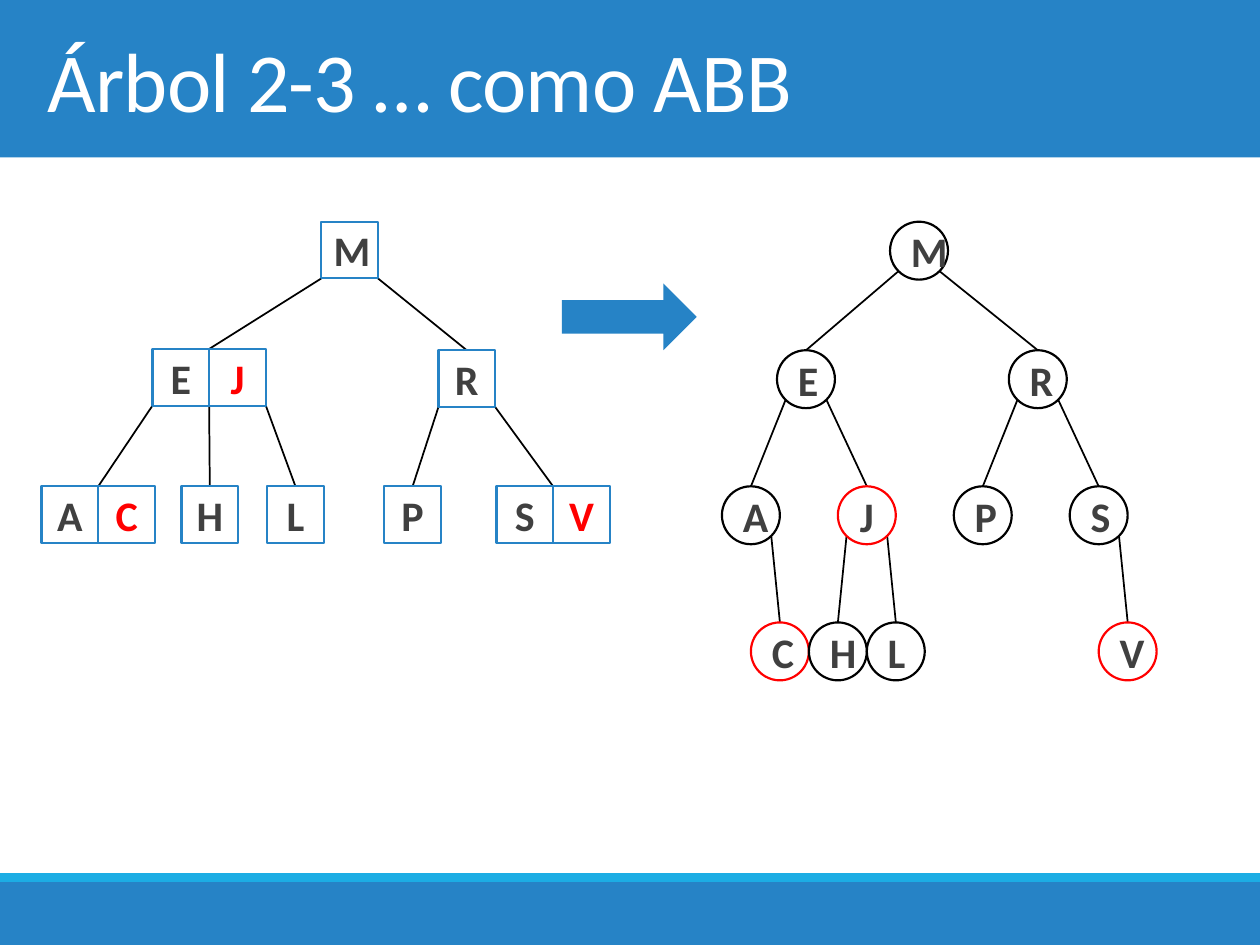
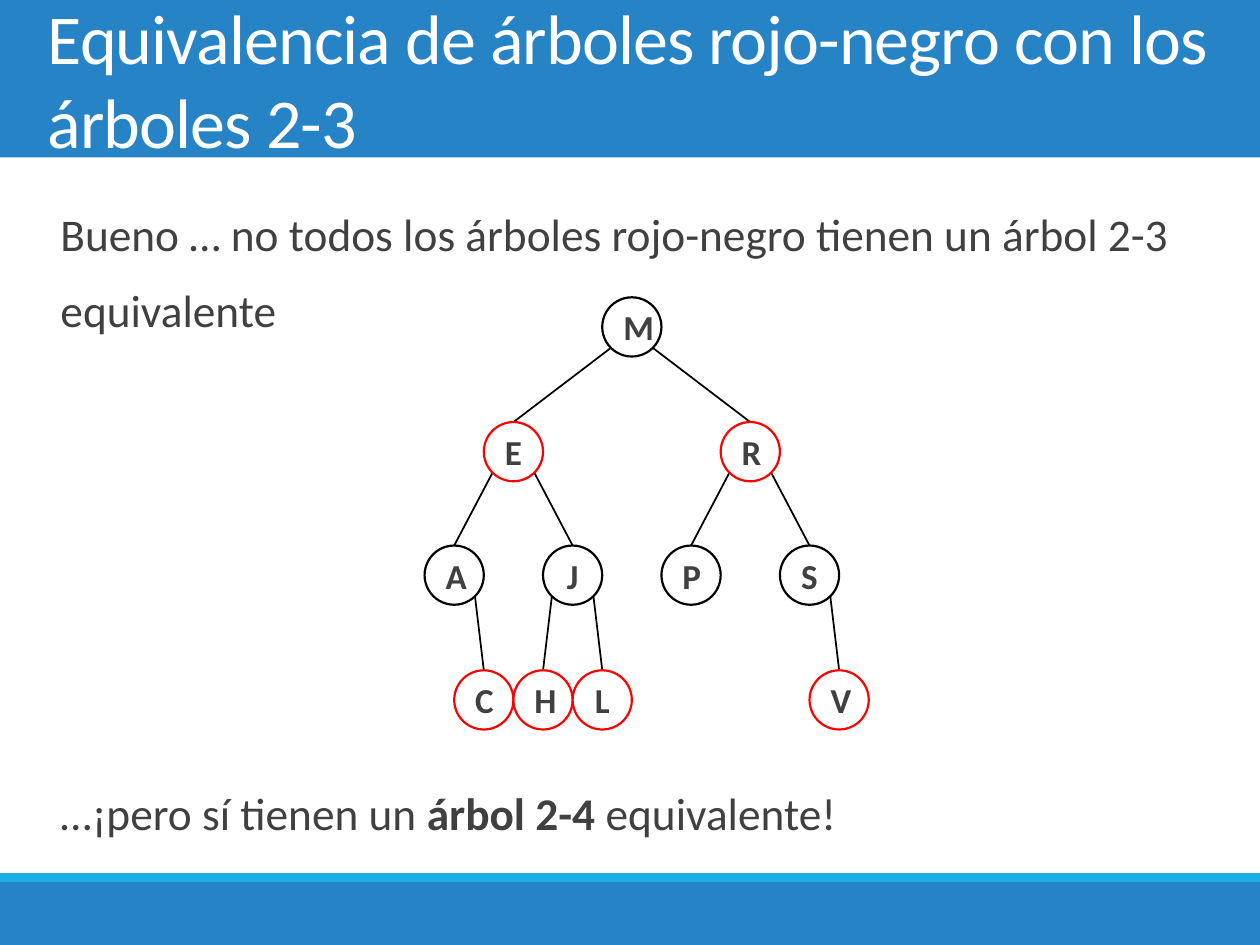
"""Builds two slides that compare 2-3 trees with red-black binary trees."""
from lxml.etree import SubElement
from pptx import Presentation
from pptx.dml.color import RGBColor
from pptx.enum.shapes import MSO_CONNECTOR, MSO_SHAPE
from pptx.enum.text import MSO_ANCHOR, MSO_AUTO_SIZE, PP_ALIGN
from pptx.oxml.ns import qn
from pptx.util import Inches, Pt

BLUE = RGBColor(0x26, 0x83, 0xC6)
CYAN = RGBColor(0x1C, 0xAD, 0xE4)
WHITE = RGBColor(0xFF, 0xFF, 0xFF)
BLACK = RGBColor(0, 0, 0)
RED = RGBColor(0xFF, 0, 0)
GREY = RGBColor(0x40, 0x40, 0x40)
FONT = "Calibri"

BANDS = [(0, 1.25, BLUE), (7, 0.5, BLUE), (6.93, 0.07, CYAN)]
TITLES = [
    ("Árbol 2-3 … como ABB", 48),
    ("Equivalencia de árboles rojo-negro con los árboles 2-3", 40),
]
BODY = [
    (12, [("Bueno … no todos los árboles rojo-negro tienen un árbol 2-3 equivalente", False)]),
    (242, [("…¡pero sí tienen un ", False), ("árbol 2-4 ", True), ("equivalente!", False)]),
]

CELL = 0.45
TWO_THREE_NODES = {
    "M": (2.55, 1.76), "EJ": (1.21, 2.77), "R": (3.48, 2.78),
    "AC": (0.33, 3.86), "H": (1.44, 3.86), "L": (2.12, 3.86),
    "P": (3.05, 3.86), "SV": (3.94, 3.86),
}
TWO_THREE_CHILDREN = {"M": ["EJ", "R"], "EJ": ["AC", "H", "L"], "R": ["P", "SV"]}

BINARY_NODES = {
    "M": (6, 0), "E": (2, 1), "R": (10, 1),
    "A": (0, 2), "J": (4, 2), "P": (8, 2), "S": (12, 2),
    "C": (1, 3), "H": (3, 3), "L": (5, 3), "V": (13, 3),
}
LEFT_CHILDREN = {"M": "E", "E": "A", "R": "P", "J": "H"}
RIGHT_CHILDREN = {"M": "R", "E": "J", "R": "S", "A": "C", "J": "L", "S": "V"}
CIRCLE_EDGE = {"left": 0.15, "right": 0.85}


def style_font(font, size, color, bold=None):
    font.name, font.size, font.bold = FONT, Pt(size), bold
    font.color.rgb = color


def add_figure(shapes, kind, left, top, width, height, fill, line=None):
    shape = shapes.add_shape(kind, Inches(left), Inches(top), Inches(width), Inches(height))
    shape.shadow.inherit = False
    shape.fill.solid()
    shape.fill.fore_color.rgb = fill
    if line is None:
        shape.line.fill.background()
    else:
        shape.line.color.rgb = line
        shape.line.width = Pt(1.25)
    return shape


def add_key(shapes, kind, left, top, side, line, key, size, color):
    shape = add_figure(shapes, kind, left, top, side, side, WHITE, line)
    frame = shape.text_frame
    frame.vertical_anchor = MSO_ANCHOR.MIDDLE
    frame.text = key
    paragraph = frame.paragraphs[0]
    paragraph.alignment = PP_ALIGN.CENTER
    style_font(paragraph.font, size, color, True)


def add_edge(shapes, start, end):
    connector = shapes.add_connector(
        MSO_CONNECTOR.STRAIGHT, *(Inches(value) for value in (*start, *end)))
    connector.line.color.rgb = BLACK
    connector.line.width = Pt(1)
    SubElement(connector.element.spPr, qn("a:effectLst"))


def draw_two_three_tree(shapes, red_keys):
    for parent, children in TWO_THREE_CHILDREN.items():
        left, top = TWO_THREE_NODES[parent]
        gap = CELL * len(parent) / (len(children) - 1)
        for index, child in enumerate(children):
            child_left, child_top = TWO_THREE_NODES[child]
            add_edge(shapes, (left + index * gap, top + CELL),
                     (child_left + CELL * len(child) / 2, child_top))
    for keys, (left, top) in TWO_THREE_NODES.items():
        for index, key in enumerate(keys):
            add_key(shapes, MSO_SHAPE.RECTANGLE, left + index * CELL, top, CELL,
                    BLUE, key, 24, RED if key in red_keys else GREY)


def draw_binary_tree(shapes, left, rows, side, size, red_keys, columns=None):
    columns = columns or {}
    places = {key: (left + columns.get(key, column) * side / 2, rows[row])
              for key, (column, row) in BINARY_NODES.items()}
    for edge, children in (("left", LEFT_CHILDREN), ("right", RIGHT_CHILDREN)):
        for parent, child in children.items():
            parent_left, parent_top = places[parent]
            child_left, child_top = places[child]
            add_edge(shapes,
                     (parent_left + CIRCLE_EDGE[edge] * side, parent_top + 0.85 * side),
                     (child_left + side / 2, child_top))
    for key, (key_left, key_top) in places.items():
        add_key(shapes, MSO_SHAPE.OVAL, key_left, key_top, side,
                RED if key in red_keys else BLACK, key, size, GREY)


def place(shape, left, top, width, height):
    shape.left, shape.top = Inches(left), Inches(top)
    shape.width, shape.height = Inches(width), Inches(height)
    shape.text_frame.word_wrap = True
    shape.text_frame.auto_size = MSO_AUTO_SIZE.NONE


def fill_title(slide, text, size):
    title = slide.shapes.title
    place(title, 0.28, 0, 9.45, 1.25)
    title.text_frame.vertical_anchor = MSO_ANCHOR.MIDDLE
    title.text_frame.text = text
    paragraph = title.text_frame.paragraphs[0]
    paragraph.alignment = PP_ALIGN.LEFT
    style_font(paragraph.font, size, WHITE)
    paragraph.runs[0].font._element.set("spc", "-50")


def fill_body(body):
    place(body, 0.28, 1.41, 9.45, 5.36)
    frame = body.text_frame
    for index, (space_before, runs) in enumerate(BODY):
        paragraph = frame.add_paragraph() if index else frame.paragraphs[0]
        paragraph.line_spacing = 1.4
        paragraph.space_before, paragraph.space_after = Pt(space_before), Pt(2)
        style_font(paragraph.font, 25.9, GREY)
        properties = paragraph._p.get_or_add_pPr()
        properties.set("marL", str(Inches(0.1)))
        properties.set("indent", "0")
        properties.insert_element_before(
            properties.makeelement(qn("a:buNone")), "a:tabLst", "a:defRPr", "a:extLst")
        for text, bold in runs:
            run = paragraph.add_run()
            run.text = text
            run.font.bold = bold


def add_master_bands(presentation, slide):
    tree = presentation.slide_master.shapes.element
    for index, (top, height, color) in enumerate(BANDS):
        band = add_figure(slide.shapes, MSO_SHAPE.RECTANGLE, 0, top, 10, height, color)
        tree.insert(2 + index, band.element)


presentation = Presentation()
presentation.slide_width, presentation.slide_height = Inches(10), Inches(7.5)
layouts = presentation.slide_layouts
conversion = presentation.slides.add_slide(layouts.get_by_name("Title Only"))
equivalence = presentation.slides.add_slide(layouts.get_by_name("Title and Content"))
add_master_bands(presentation, conversion)
for slide, (text, size) in zip(presentation.slides, TITLES):
    fill_title(slide, text, size)

draw_two_three_tree(conversion.shapes, "JCV")
draw_binary_tree(conversion.shapes, 5.73, [1.76, 2.78, 3.86, 4.94], 0.46, 24, "JCV",
                 {"M": 5.8, "E": 1.9, "R": 9.9})
add_figure(conversion.shapes, MSO_SHAPE.RIGHT_ARROW, 4.46, 2.25, 1.07, 0.53, BLUE)

fill_body(equivalence.placeholders[1])
group = equivalence.shapes.add_group_shape()
draw_binary_tree(group.shapes, 3.37, [2.36, 3.35, 4.33, 5.32], 0.47, 20, "ERCHLV")

presentation.save("out.pptx")
